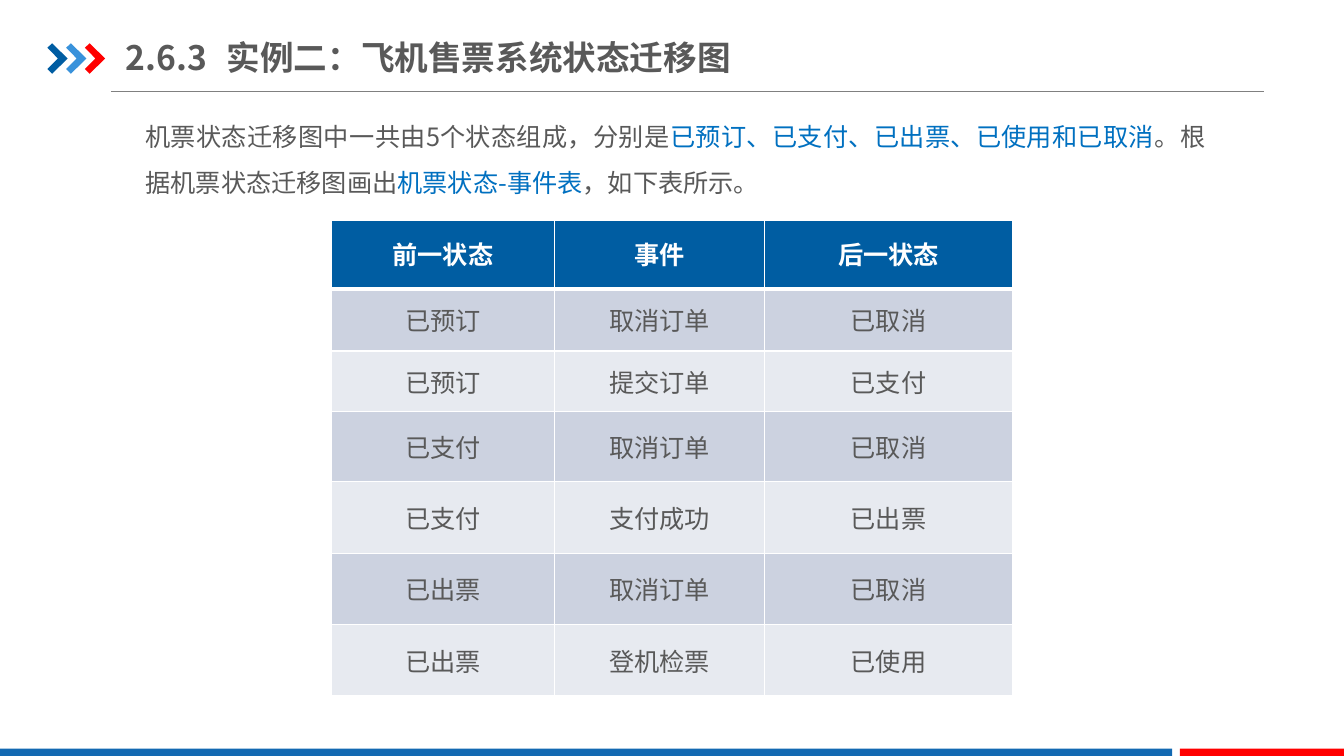
from lxml import etree
from pptx import Presentation
from pptx.dml.color import RGBColor
from pptx.enum.shapes import MSO_CONNECTOR, MSO_SHAPE
from pptx.enum.text import MSO_ANCHOR, PP_ALIGN
from pptx.oxml.ns import qn
from pptx.util import Pt

STRAIGHT = MSO_CONNECTOR.STRAIGHT
RECTANGLE = MSO_SHAPE.RECTANGLE
MIDDLE = MSO_ANCHOR.MIDDLE
CENTER = PP_ALIGN.CENTER
JUSTIFY = PP_ALIGN.JUSTIFY
FONT = "Noto Sans CJK SC"
GRAY, WHITE, NAVY, RED, LINK_BLUE = "595959", "FFFFFF", "005DA2", "FF0000", "0070C0"


def color(hex_string):
    return RGBColor.from_string(hex_string)


def style_run(run, size, hex_string, bold=False):
    run.font.size = Pt(size)
    run.font.bold = bold
    run.font.name = FONT
    run.font.color.rgb = color(hex_string)
    properties = run.font._element
    etree.SubElement(properties, qn("a:ea")).set("typeface", FONT)


presentation = Presentation()
presentation.slide_width = Pt(960)
presentation.slide_height = Pt(540)
slide = presentation.slides.add_slide(presentation.slide_layouts[6])
shapes = slide.shapes

title_rule = shapes.add_connector(STRAIGHT, Pt(79.2), Pt(65.5), Pt(903), Pt(65.5))
title_rule.line.color.rgb = color("808080")
title_rule.line.width = Pt(0.75)
etree.SubElement(title_rule._element.spPr, qn("a:effectLst"))

chevron_outline = [(0, 3.2), (3.4, 0), (14.4, 10.9), (3.4, 21.8), (0, 18.4), (7.5, 10.9)]
for index, fill in enumerate([NAVY, "3992DB", RED]):
    left = 33.9 + 13.4 * index
    points = [(Pt(left + x), Pt(30.9 + y)) for x, y in chevron_outline]
    builder = shapes.build_freeform(*points[0], scale=1.0)
    builder.add_line_segments(points[1:], close=True)
    chevron = builder.convert_to_shape()
    chevron.shadow.inherit = False
    chevron.fill.solid()
    chevron.fill.fore_color.rgb = color(fill)
    chevron.line.fill.background()

for left, width, fill in [(0, 837.2, "1369B2"), (842.8, 117.2, RED)]:
    footer_bar = shapes.add_shape(RECTANGLE, Pt(left), Pt(534.8), Pt(width), Pt(6.2))
    footer_bar.shadow.inherit = False
    footer_bar.fill.solid()
    footer_bar.fill.fore_color.rgb = color(fill)
    footer_bar.line.fill.background()

introduction = shapes.add_textbox(Pt(94.3), Pt(71.3), Pt(776.2), Pt(74.9))
text_frame = introduction.text_frame
text_frame.word_wrap = True
text_frame.margin_left = text_frame.margin_right = Pt(9.6)
text_frame.margin_top = text_frame.margin_bottom = Pt(4.8)
paragraph = text_frame.paragraphs[0]
paragraph.alignment = JUSTIFY
paragraph.line_spacing = 1.5
for text, font_color in [
    ("机票状态迁移图中一共由5个状态组成，分别是", GRAY),
    ("已预订、已支付、已出票、已使用和已取消", LINK_BLUE),
    ("。根据机票状态迁移图画出", GRAY),
    ("机票状态-事件表", LINK_BLUE),
    ("，如下表所示。", GRAY),
]:
    run = paragraph.add_run()
    run.text = text
    style_run(run, 18, font_color)

title = shapes.add_textbox(Pt(90), Pt(21), Pt(472.3), Pt(39.6))
text_frame = title.text_frame
text_frame.word_wrap = True
text_frame.vertical_anchor = MIDDLE
text_frame.margin_left = text_frame.margin_right = 0
text_frame.margin_top = text_frame.margin_bottom = Pt(4.8)
text_frame.text = "2.6.3\t实例二：飞机售票系统状态迁移图"
style_run(text_frame.paragraphs[0].runs[0], 24, GRAY, True)

transitions = [
    ("前一状态", "事件", "后一状态"),
    ("已预订", "取消订单", "已取消"),
    ("已预订", "提交订单", "已支付"),
    ("已支付", "取消订单", "已取消"),
    ("已支付", "支付成功", "已出票"),
    ("已出票", "取消订单", "已取消"),
    ("已出票", "登机检票", "已使用"),
]
column_widths = [159.8, 149.8, 177.1]
row_heights = [49, 44.5, 43.5, 50, 51, 51, 51]
table = shapes.add_table(
    len(transitions), len(column_widths), Pt(236.5), Pt(157.2),
    Pt(sum(column_widths)), Pt(sum(row_heights)),
).table
for column, width in zip(table.columns, column_widths):
    column.width = Pt(width)
for row, height in zip(table.rows, row_heights):
    row.height = Pt(height)

for row_index, transition in enumerate(transitions):
    is_header = row_index == 0
    fill = NAVY if is_header else ("E7EAF0", "CCD2E0")[row_index % 2]
    for column_index, text in enumerate(transition):
        cell = table.cell(row_index, column_index)
        cell.text_frame.text = text
        cell.vertical_anchor = MIDDLE
        paragraph = cell.text_frame.paragraphs[0]
        paragraph.alignment = CENTER
        if is_header:
            paragraph.line_spacing = 0.9
        style_run(paragraph.runs[0], 18, WHITE if is_header else GRAY, is_header)
        cell_properties = cell._tc.get_or_add_tcPr()
        for side in ("L", "R", "T", "B"):
            is_thick = (row_index, side) in [(0, "B"), (1, "T")]
            border = etree.SubElement(cell_properties, qn(f"a:ln{side}"))
            border.set("w", str(Pt(3 if is_thick else 1)))
            border_fill = etree.SubElement(border, qn("a:solidFill"))
            etree.SubElement(border_fill, qn("a:srgbClr")).set("val", WHITE)
        cell.fill.solid()
        cell.fill.fore_color.rgb = color(fill)

presentation.save("out.pptx")
